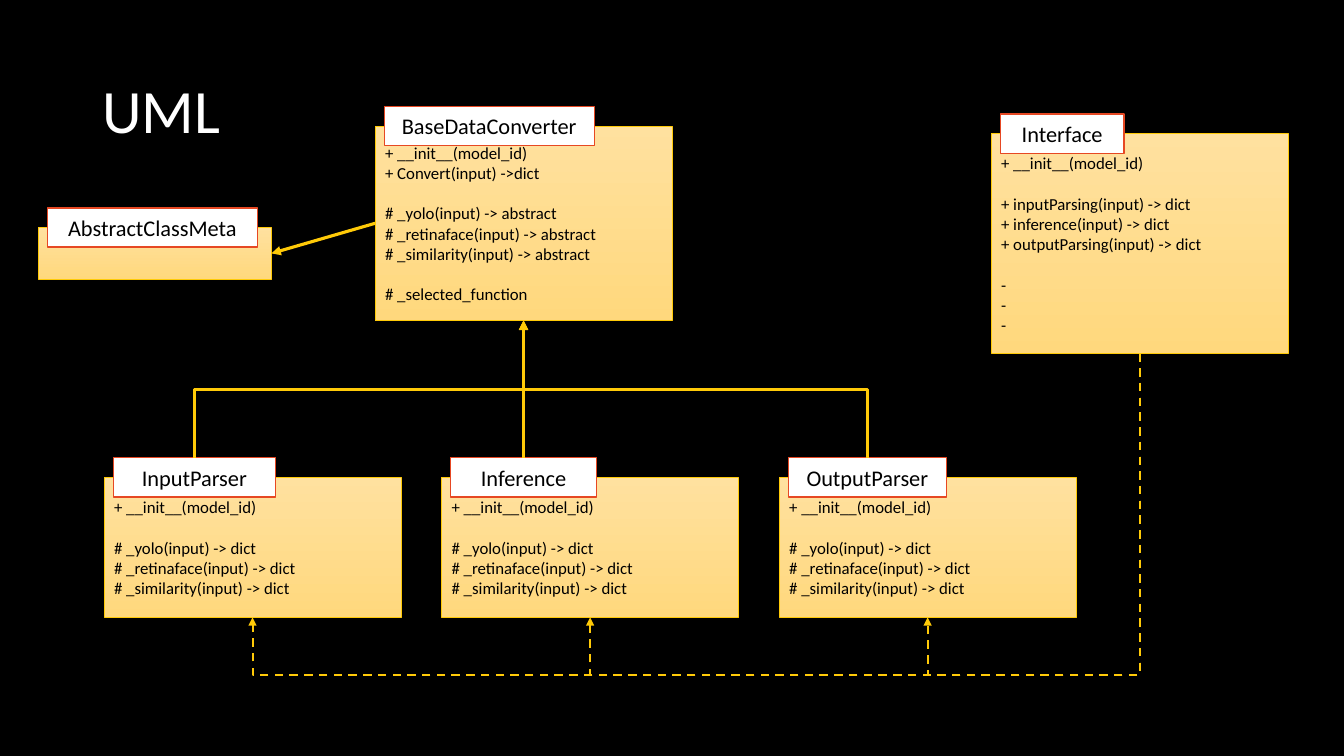
from lxml import etree
from pptx import Presentation
from pptx.dml.color import RGBColor
from pptx.enum.dml import MSO_LINE
from pptx.enum.shapes import MSO_CONNECTOR, MSO_SHAPE
from pptx.enum.text import MSO_ANCHOR, PP_ALIGN
from pptx.oxml.ns import qn
from pptx.util import Pt

RECT = MSO_SHAPE.RECTANGLE
STRAIGHT, ELBOW = MSO_CONNECTOR.STRAIGHT, MSO_CONNECTOR.ELBOW
DASH = MSO_LINE.DASH
MIDDLE = MSO_ANCHOR.MIDDLE
LEFT, CENTER = PP_ALIGN.LEFT, PP_ALIGN.CENTER
FONT = "Calibri"
COLORS = {
    "black": "000000", "white": "FFFFFF", "gold": "FFCA08",
    "light": "FFE19F", "deep": "FFD87D", "red": "E64823",
}
INIT = "+ __init__(model_id)"
LINE_HEIGHT = 14.65
TAB_DX, TAB_DY, TAB_H = 6.5, 14, 28


def rgb(name):
    """Return the named colour."""
    return RGBColor.from_string(COLORS[name])


def add_run(p, text, size, color):
    """Add one formatted run to a paragraph."""
    r = p.add_run()
    r.text = text
    r.font.name, r.font.size = FONT, Pt(size)
    r.font.color.rgb = rgb(color)


def add_title(s, text):
    """Place and fill the title placeholder."""
    sp = s.shapes.title
    sp.left, sp.top, sp.width, sp.height = Pt(66), Pt(29), Pt(828), Pt(104)
    tf = sp.text_frame
    tf.vertical_anchor = MIDDLE
    p = tf.paragraphs[0]
    p.alignment, p.line_spacing = LEFT, 0.9
    add_run(p, text, 44, "white")


def add_rect(s, x, y, w, h, line, weight):
    """Add a plain outlined rectangle."""
    sp = s.shapes.add_shape(RECT, Pt(x), Pt(y), Pt(w), Pt(h))
    sp.shadow.inherit = False
    sp.line.color.rgb, sp.line.width = rgb(line), Pt(weight)
    sp.text_frame.word_wrap = True
    sp.text_frame.vertical_anchor = MIDDLE
    return sp


def add_members(tf, groups):
    """Write member groups, separated by one line of space."""
    p = None
    for group in groups:
        for i, text in enumerate(group):
            gap = p is not None and i == 0
            p = tf.add_paragraph() if p is not None else tf.paragraphs[0]
            p.alignment = LEFT
            p.space_before = Pt(LINE_HEIGHT if gap else 0)
            add_run(p, text, 12, "black")


def add_class(s, name, x, y, w, h, tab_w, groups=()):
    """Add a class box with its name tab."""
    sp = add_rect(s, x, y, w, h, "gold", 0.5)
    sp.fill.gradient()
    sp.fill.gradient_angle = 270
    for stop, color in zip(sp.fill.gradient_stops, ("light", "deep")):
        stop.color.rgb = rgb(color)
    add_members(sp.text_frame, groups)
    tab = add_rect(s, x + TAB_DX, y - TAB_DY, tab_w, TAB_H, "red", 1)
    tab.fill.solid()
    tab.fill.fore_color.rgb = rgb("white")
    tab.text_frame.margin_left = tab.text_frame.margin_right = Pt(3)
    p = tab.text_frame.paragraphs[0]
    p.alignment = CENTER
    add_run(p, name, 16, "black")


def style_arrow(c, weight, dash=None):
    """Give a connector its line, triangle head and no shadow."""
    c.line.color.rgb, c.line.width = rgb("gold"), Pt(weight)
    if dash:
        c.line.dash_style = dash
    spPr = c._element.spPr
    etree.SubElement(spPr.find(qn("a:ln")), qn("a:tailEnd"), type="triangle")
    etree.SubElement(spPr, qn("a:effectLst"))


def add_arrow(s, x1, y1, x2, y2, weight):
    """Add a straight arrow."""
    c = s.shapes.add_connector(STRAIGHT, Pt(x1), Pt(y1), Pt(x2), Pt(y2))
    style_arrow(c, weight)


def add_bent_arrow(s, x1, y1, x2, y2, bend_y, weight, dash=None):
    """Add an arrow that leaves vertically and crosses at bend_y."""
    cx, cy = (x1 + x2) / 2, (y1 + y2) / 2
    dx, dy = (x2 - x1) / 2, (y2 - y1) / 2
    c = s.shapes.add_connector(
        ELBOW, Pt(cx - dy), Pt(cy + dx), Pt(cx + dy), Pt(cy - dx))
    spPr = c._element.spPr
    spPr.find(qn("a:xfrm")).set("rot", "5400000")
    geom = spPr.find(qn("a:prstGeom"))
    guides = geom.find(qn("a:avLst"))
    if guides is None:
        guides = etree.SubElement(geom, qn("a:avLst"))
    ratio = round((bend_y - y1) / (y2 - y1) * 100000)
    etree.SubElement(guides, qn("a:gd"), name="adj1", fmla=f"val {ratio}")
    style_arrow(c, weight, dash)


def main():
    """Build the UML slide."""
    prs = Presentation()
    prs.slide_width, prs.slide_height = Pt(960), Pt(540)
    s = prs.slides.add_slide(prs.slide_layouts[5])
    s.background.fill.solid()
    s.background.fill.fore_color.rgb = rgb("black")
    add_title(s, "UML")

    functions = ("_yolo", "_retinaface", "_similarity")
    abstract = [f"# {f}(input) -> abstract" for f in functions]
    concrete = [f"# {f}(input) -> dict" for f in functions]
    steps = [f"+ {f}(input) -> dict"
             for f in ("inputParsing", "inference", "outputParsing")]

    box_w, base_x, base_y, base_h = 212, 268, 90, 139
    base_mid = base_x + box_w / 2
    add_class(s, "BaseDataConverter", base_x, base_y, box_w, base_h, 150,
              [[INIT, "+ Convert(input) ->dict"], abstract,
               ["# _selected_function"]])
    add_class(s, "AbstractClassMeta", 27.4, 162.5, 166.5, 37, 150)
    add_arrow(s, base_x, 159.5, 193.9, 181, 2.25)

    face_x, face_y, face_h = 708, 95.5, 157
    add_class(s, "Interface", face_x, face_y, box_w, face_h, 88.5,
              [[INIT], steps, ["- ", "-", "-"]])

    child_y, child_h = 341, 100
    children = (("InputParser", 116), ("Inference", 104), ("OutputParser", 113))
    for i, (name, tab_w) in enumerate(children):
        x = 74.4 + 241.1 * i
        add_class(s, name, x, child_y, box_w, child_h, tab_w,
                  [[INIT], concrete])
        tab_mid, tab_top = x + TAB_DX + tab_w / 2, child_y - TAB_DY
        if abs(tab_mid - base_mid) < 1:
            add_arrow(s, base_mid, tab_top, base_mid, base_y + base_h, 2.25)
        else:
            add_bent_arrow(s, tab_mid, tab_top, base_mid, base_y + base_h,
                           278, 2.25)
        add_bent_arrow(s, face_x + box_w / 2, face_y + face_h,
                       x + box_w / 2, child_y + child_h, 482, 1.5, DASH)

    prs.save("out.pptx")


main()
